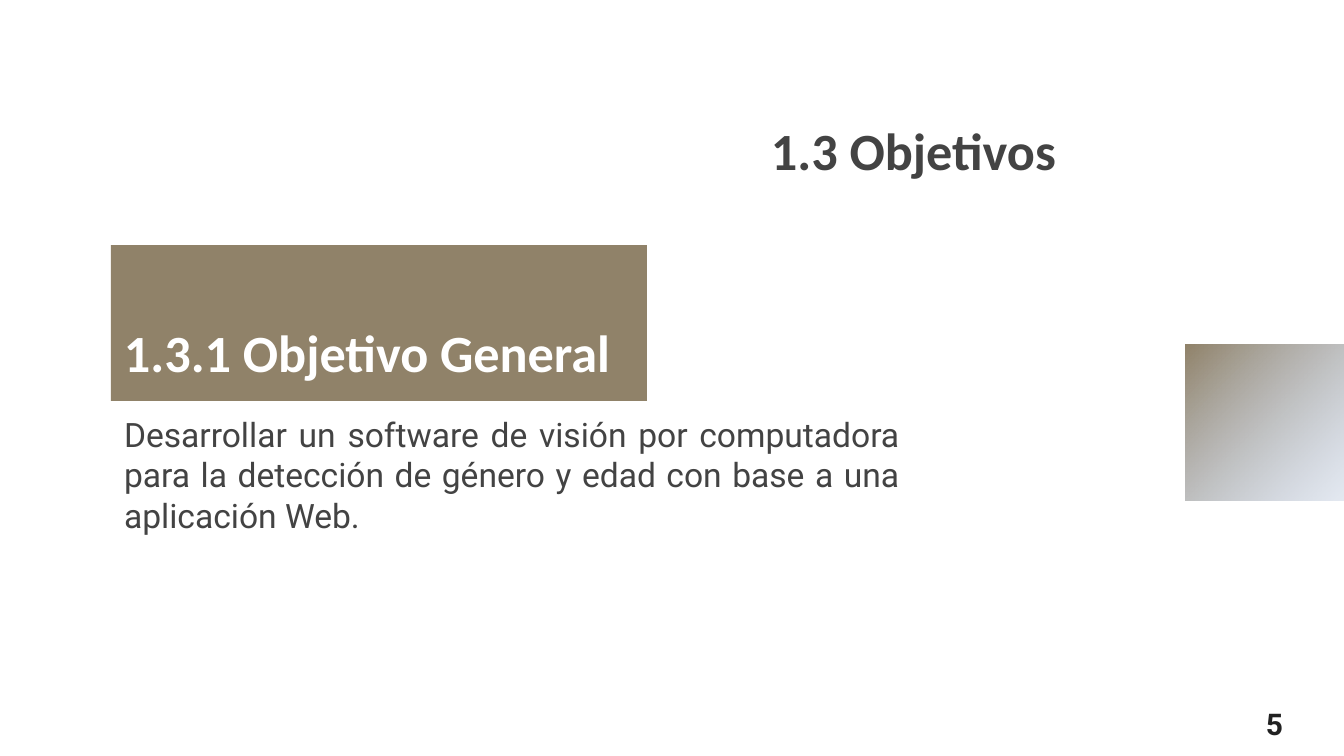
import pptx
import pptx.util
import pptx.dml.color
import pptx.enum.shapes
import pptx.enum.text
import lxml.etree

PX = 914400 / 134.4
INK = "434343"
SAND = "908269"
LEFT = pptx.enum.text.PP_ALIGN.LEFT
FULL = pptx.enum.text.PP_ALIGN.JUSTIFY
TOP = pptx.enum.text.MSO_ANCHOR.TOP
LOW = pptx.enum.text.MSO_ANCHOR.BOTTOM


def px(n):
    return pptx.util.Emu(round(n * PX))


def tint(code):
    return pptx.dml.color.RGBColor.from_string(code)


def block(slide, box):
    """Add a bare rectangle turned on its side; box is its size before turning."""
    rect = slide.shapes.add_shape(
        pptx.enum.shapes.MSO_SHAPE.RECTANGLE, *map(px, box))
    rect.rotation = 270
    rect.shadow.inherit = False
    rect.line.fill.background()
    return rect


def band(slide, box):
    fill = block(slide, box).fill
    fill.solid()
    fill.fore_color.rgb = tint(SAND)


def fade(slide, box):
    """Add a rectangle that fades from sand to a pale, see-through blue."""
    rect = block(slide, box)
    rect.fill.gradient()
    rect.fill.gradient_angle = 45
    for stop, pos, code in zip(rect.fill.gradient_stops, (0, 1), ("A9B9D3", SAND)):
        stop.position = pos
        stop.color.rgb = tint(code)
    pale = rect.element.xpath(".//a:gradFill//a:srgbClr")[0]
    alpha = lxml.etree.SubElement(pale, pptx.oxml.ns.qn("a:alpha"))
    alpha.set("val", "31000")


def label(slide, box, text, size, font, code, bold=False, align=LEFT, anchor=TOP):
    frame = slide.shapes.add_textbox(*map(px, box)).text_frame
    frame.word_wrap = True
    frame.vertical_anchor = anchor
    frame.margin_left = frame.margin_right = px(13)
    frame.margin_top = frame.margin_bottom = px(13)
    frame.text = text
    para = frame.paragraphs[0]
    para.alignment = align
    face = para.runs[0].font
    face.name = font
    face.size = pptx.util.Pt(size)
    face.bold = bold
    face.color.rgb = tint(code)


def goal(slide, x, y):
    """Place the heading on its band, with the goal's text below."""
    band(slide, (x + 190, y - 190, 156, 536))
    label(slide, (x, y, 536, 151), "1.3.1 Objetivo General",
          28, "Calibri", "FFFFFF", bold=True, anchor=LOW)
    label(slide, (x, y + 156, 802, 262),
          "Desarrollar un software de visión por computadora para la "
          "detección de género y edad con base a una aplicación Web.",
          18, "Roboto", INK, align=FULL)


def main():
    deck = pptx.Presentation()
    deck.slide_width = px(1344)
    deck.slide_height = px(756)
    slide = deck.slides.add_slide(deck.slide_layouts[6])
    goal(slide, 111, 245)
    fade(slide, (1187, 344, 156, 158))
    label(slide, (758, 105, 387, 91), "1.3 Objetivos",
          28, "Calibri", INK, bold=True)
    label(slide, (1253, 693, 91, 42), "5",
          16, "Roboto", "212121", bold=True, align=FULL)
    deck.save("out.pptx")


if __name__ == "__main__":
    main()
